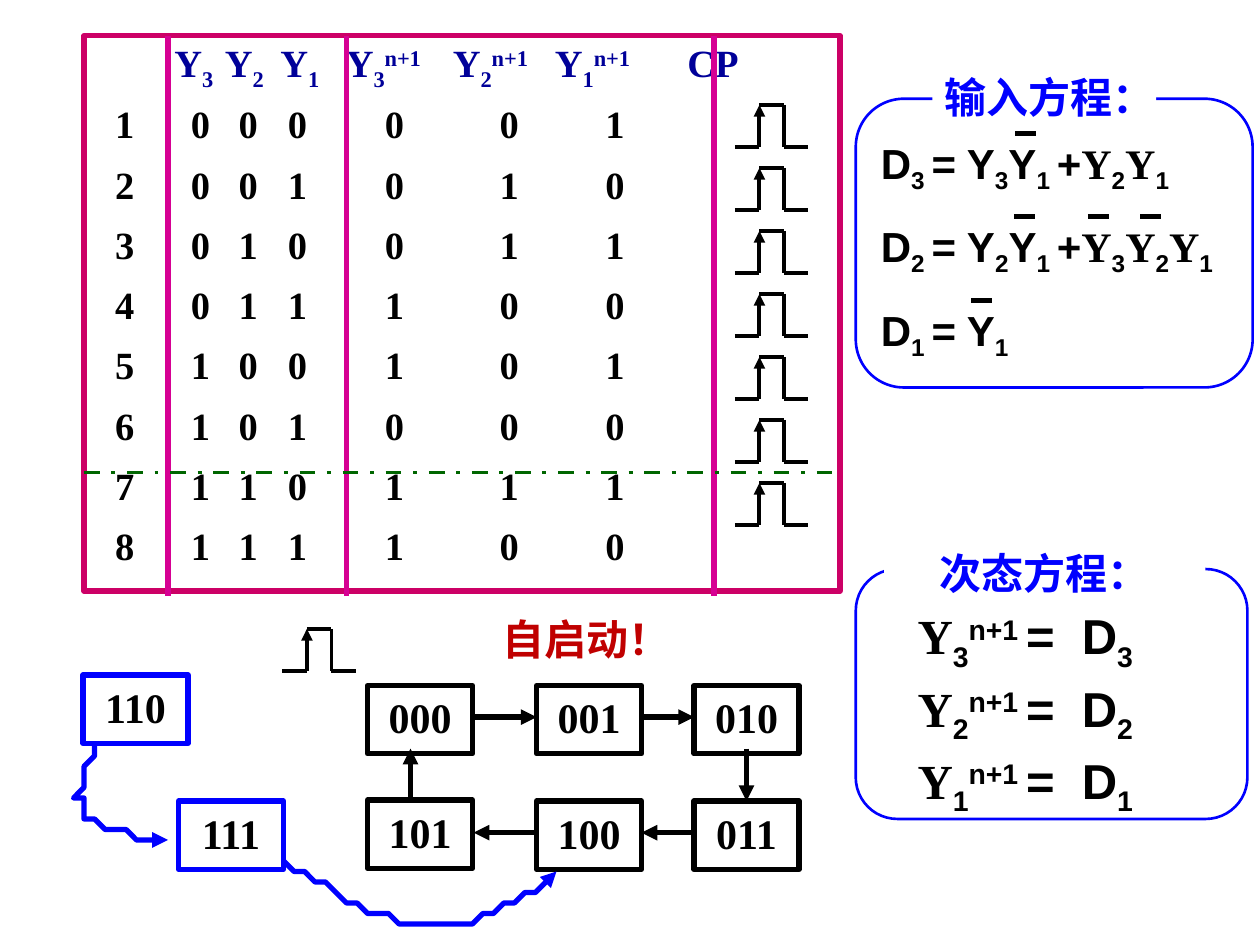
import pptx
import pptx.dml.color
import pptx.enum.dml
import pptx.enum.shapes
import pptx.enum.text
import pptx.oxml.ns
import pptx.util
from lxml import etree

COLOURS = {
    "black": "000000", "white": "FFFFFF", "blue": "0000FF", "navy": "000099",
    "red": "C00000", "crimson": "CC0066", "magenta": "D60093", "green": "006600",
}
SERIF, SANS, CHINESE = "Times New Roman", "Arial", "Noto Sans CJK SC"
RGB = {name: pptx.dml.color.RGBColor.from_string(value) for name, value in COLOURS.items()}
QN = pptx.oxml.ns.qn
SHAPES = pptx.enum.shapes.MSO_SHAPE
LEFT, CENTRE = pptx.enum.text.PP_ALIGN.LEFT, pptx.enum.text.PP_ALIGN.CENTER

presentation = pptx.Presentation()
presentation.slide_width = pptx.util.Inches(10)
presentation.slide_height = pptx.util.Inches(7.5)
slide = presentation.slides.add_slide(presentation.slide_layouts[6])

# The grid has 120 columns and 90 rows of square cells.
CELL = presentation.slide_width / 120


def add_line(start, end, colour="black", width=3, arrow=None):
    """Connect two grid points; arrow is None, headEnd (start) or tailEnd (end)."""
    ends = [round(value * CELL) for value in (*start, *end)]
    line = slide.shapes.add_connector(pptx.enum.shapes.MSO_CONNECTOR.STRAIGHT, *ends)
    line.line.color.rgb = RGB[colour]
    line.line.width = pptx.util.Pt(width)
    if arrow:
        etree.SubElement(line.line._get_or_add_ln(), QN("a:" + arrow), type="triangle")
    etree.SubElement(line._element.spPr, QN("a:effectLst"))
    return line


def add_text(box, paragraphs, size=24, colour="black", font=SERIF, align=LEFT,
             fill=None, outline=None):
    """Lists of runs: "_" starts a subscript, "^" a superscript, "~" a serif run."""
    place = [round(value * CELL) for value in box]
    if fill or outline:
        shape = slide.shapes.add_shape(SHAPES.RECTANGLE, *place)
        shape.shadow.inherit = False
    else:
        shape = slide.shapes.add_textbox(*place)
    if fill:
        shape.fill.solid()
        shape.fill.fore_color.rgb = RGB[fill]
    else:
        shape.fill.background()
    if outline:
        shape.line.color.rgb = RGB[outline]
        shape.line.width = pptx.util.Pt(3)
    else:
        shape.line.fill.background()
    frame = shape.text_frame
    frame.word_wrap = True
    frame.vertical_anchor = pptx.enum.text.MSO_ANCHOR.TOP
    for number, runs in enumerate(paragraphs):
        paragraph = frame.add_paragraph() if number else frame.paragraphs[0]
        paragraph.alignment = align
        for text in runs:
            run = paragraph.add_run()
            run.text = text.lstrip("_^~")
            run.font.name = SERIF if text[0] == "~" else font
            run.font.size = pptx.util.Pt(size)
            run.font.bold = True
            run.font.color.rgb = RGB[colour]
            if text[0] in "_^":
                baseline = "-25000" if text[0] == "_" else "30000"
                run._r.get_or_add_rPr().set("baseline", baseline)
    return shape


# State diagram
states = {
    "000": (35, 65.3), "001": (51.1, 65.3), "010": (66.1, 65.3),
    "101": (35, 76.2), "100": (51.1, 76.3), "011": (66.1, 76.3),
    "111": (17, 76.3), "110": (7.9, 64.3),
}
for state, corner in states.items():
    outline = "blue" if state in ("110", "111") else "black"
    add_text((*corner, 10, 6.5), [[state]], align=CENTRE, outline=outline)

transitions = [
    ((45.1, 68.3), (51.1, 68.3)), ((61.1, 68.3), (66.1, 68.3)),
    ((71.1, 71.3), (71.1, 76.3)), ((66.1, 79.3), (61.1, 79.3)),
    ((51.1, 79.3), (45.1, 79.3)), ((39.1, 76.3), (39.1, 71.3)),
]
for start, end in transitions:
    add_line(start, end, arrow="tailEnd")

# Truth table, its columns set by tab stops in inches
header = ["\tY", "_3", "\tY", "_2", "\tY", "_1", "\tY", "_3", "^n+1",
          "\tY", "_2", "^n+1", "\tY", "_1", "^n+1", "\tCP"]
transition_rows = ["000001", "001010", "010011", "011100",
                   "100101", "101000", "110111", "111100"]
rows = [["".join("\t" + value for value in str(number) + bits)]
        for number, bits in enumerate(transition_rows, 1)]
header_stops = [0.62, 1.02, 1.46, 1.98, 2.83, 3.64, 4.69]
row_stops = [0.15, 0.75, 1.13, 1.52, 2.29, 3.2, 4.04]
table = add_text((8, 3.4, 72, 52.9), [header] + rows, size=22,
                 fill="white", outline="crimson")
for number, paragraph in enumerate(table.text_frame.paragraphs):
    paragraph.line_spacing = 0.85
    paragraph.space_before = pptx.util.Pt(12 if number else 0)
    tab_list = etree.SubElement(paragraph._p.get_or_add_pPr(), QN("a:tabLst"))
    for stop in row_stops if number else header_stops:
        etree.SubElement(tab_list, QN("a:tab"), pos=str(pptx.util.Inches(stop)), algn="l")
for run in table.text_frame.paragraphs[0].runs:
    run.font.color.rgb = RGB["navy"]

for column in (33, 68, 16):
    add_line((column, 3.4), (column, 56.8), "magenta")

# Clock pulses: one for each row, and one above the state diagram
for left, top in [(70, 10 + 6 * step) for step in range(7)] + [(26.9, 59.9)]:
    rise, fall, right, bottom = left + 2.33, left + 4.67, left + 7, top + 4
    add_line((rise, top), (fall, top), width=2.25)
    add_line((fall, top), (fall, bottom), width=2.25)
    add_line((rise, top), (rise, bottom), width=2.25, arrow="headEnd")
    add_line((fall, bottom), (right, bottom), width=2.25)
    add_line((left, bottom), (rise, bottom), width=2.25)

divider = add_line((8, 45), (80, 45), "green", 2.25)
divider.line.dash_style = pptx.enum.dml.MSO_LINE.DASH_DOT

# Curved arrows from the unused states, each made of two cubic curves
curves = [
    [(9.1, 71.3), (7.9, 73.6), (6.8, 75.8), (8, 77.3), (9.2, 78.8), (12.6, 79.6), (16.1, 80.3)],
    [(27.1, 82.3), (31.9, 85.2), (36.7, 88.2), (41, 88.3), (45.4, 88.4), (49.2, 85.9), (53, 83.3)],
]
STEPS = 16
for controls in curves:
    points = []
    for first in (0, 3):
        for step in range(1, STEPS + 1):
            t = step / STEPS
            weights = ((1 - t) ** 3, 3 * t * (1 - t) ** 2, 3 * t * t * (1 - t), t ** 3)
            points.append([sum(weight * control[axis] for weight, control
                               in zip(weights, controls[first:first + 4]))
                           for axis in (0, 1)])
    builder = slide.shapes.build_freeform(*controls[0], scale=CELL)
    builder.add_line_segments(points, close=False)
    curve = builder.convert_to_shape()
    curve.shadow.inherit = False
    curve.fill.background()
    curve.line.color.rgb = RGB["blue"]
    curve.line.width = pptx.util.Pt(3)
    etree.SubElement(curve.line._get_or_add_ln(), QN("a:tailEnd"), type="triangle")

add_text((46.7, 57.8, 26.4, 6), [["自启动！"]], colour="red", font=CHINESE)

# Equation panels
panels = [
    ((81.5, 9.4, 37.8, 27.5), (88.8, 6.2, 21.3, 6), "输入方程：", LEFT),
    ((81.5, 54.2, 37.3, 23.8), (84.2, 51.6, 30.6, 6), "次态方程：", CENTRE),
]
for frame_box, title_box, title, align in panels:
    place = [round(value * CELL) for value in frame_box]
    panel = slide.shapes.add_shape(SHAPES.ROUNDED_RECTANGLE, *place)
    panel.shadow.inherit = False
    panel.fill.background()
    panel.line.color.rgb = RGB["blue"]
    panel.line.width = pptx.util.Pt(1.5)
    add_text(title_box, [[title]], colour="blue", font=SANS, align=align, fill="white")

# Each input equation with the columns where its negation bars start
input_equations = [
    (12.5, 35, [" D", "_3 ", "= Y", "_3", "Y", "_1 ", "+", "~Y", "_2", "~Y", "_1"], [96.7]),
    (20.4, 38, [" D", "_2 ", "= Y", "_2", "Y", "_1 ", "+", "~Y", "_3", "~Y", "_2", "~Y", "_1"],
     [96.6, 103.6, 108.6]),
    (28.4, 17, [" D", "_1 ", "= Y", "_1"], [92.5]),
]
for top, width, runs, bars in input_equations:
    add_text((81.6, top, width, 6), [runs], font=SANS)
    for bar in bars:
        add_line((bar, top + 0.2), (bar + 2, top + 0.2))

for step, bit in enumerate("321"):
    add_text((86.2, 57.1 + 6.9 * step, 25.8, 6.9),
             [["~Y", "_" + bit, "^n+1 ", "=  D", "_" + bit]], size=28, font=SANS)

presentation.save("out.pptx")
